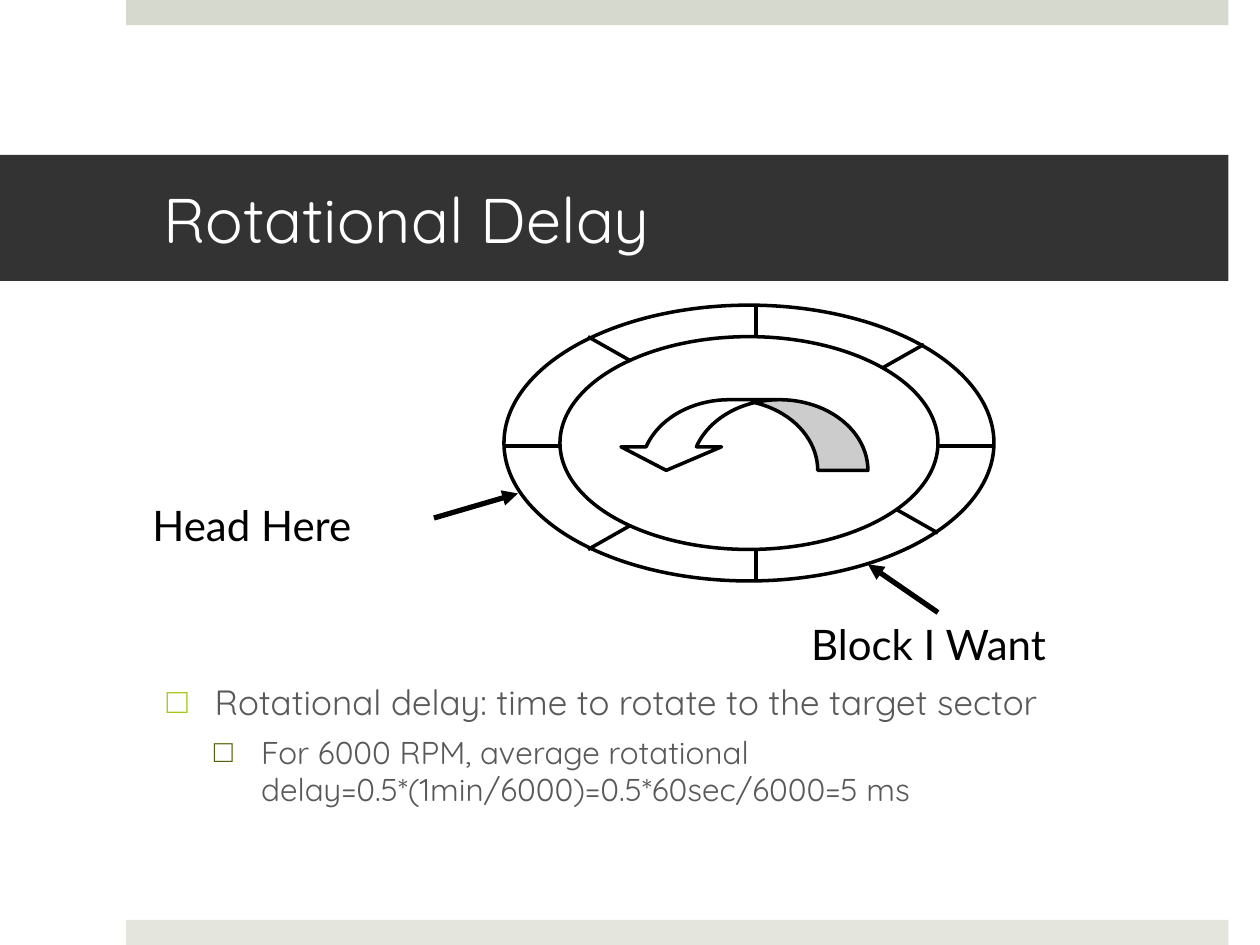
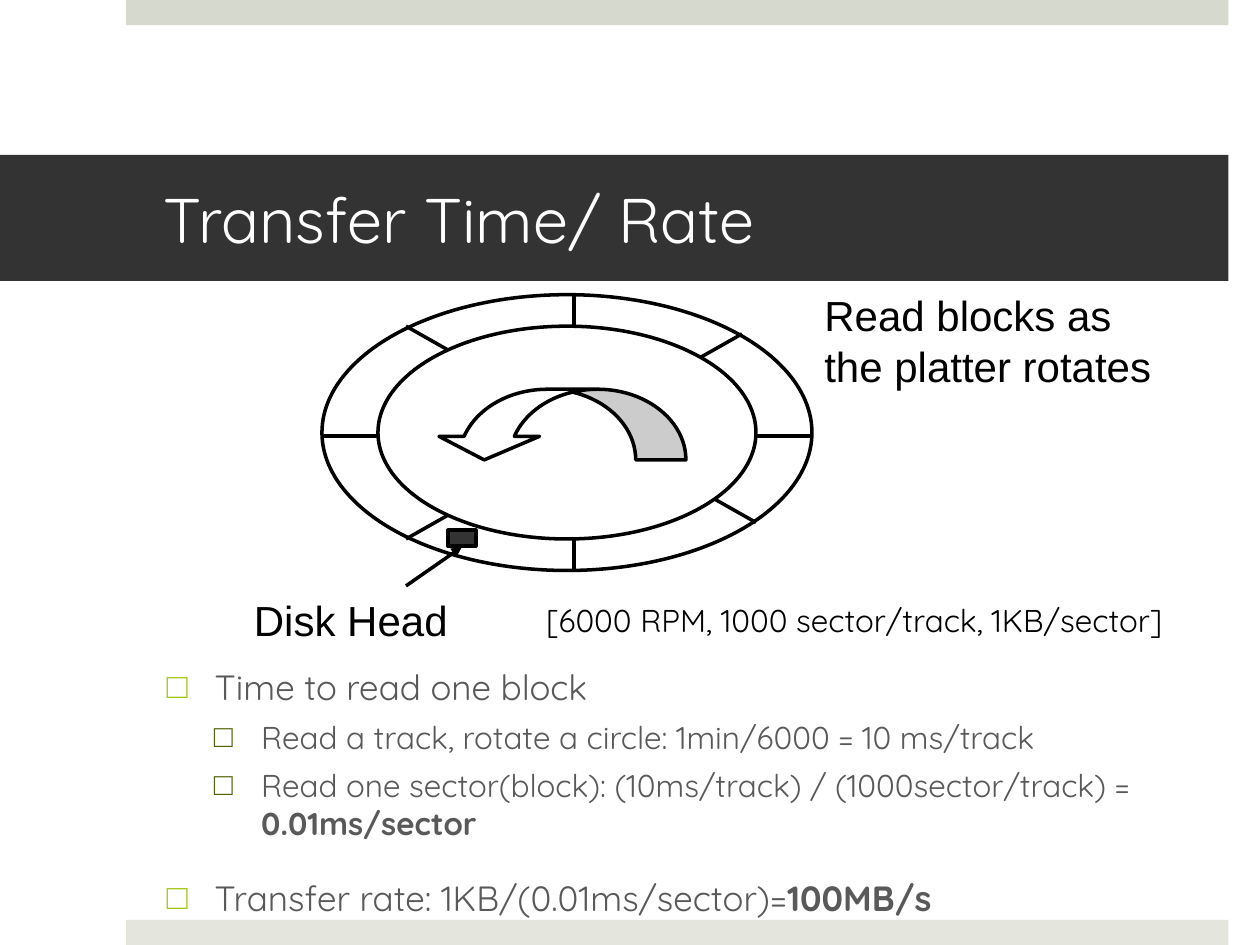
from lxml.etree import SubElement
from pptx import Presentation
from pptx.dml.color import RGBColor
from pptx.enum.shapes import MSO_CONNECTOR, MSO_SHAPE
from pptx.enum.text import MSO_ANCHOR, MSO_AUTO_SIZE as AutoSize, PP_ALIGN
from pptx.oxml.ns import qn
from pptx.util import Pt

BLACK = RGBColor(0x00, 0x00, 0x00)
WHITE = RGBColor(0xFF, 0xFF, 0xFF)
DARK = RGBColor(0x33, 0x33, 0x33)
GRAY = RGBColor(0x59, 0x59, 0x59)
TOP_BAND = RGBColor(0xD6, 0xD9, 0xCD)
BOTTOM_BAND = RGBColor(0xE4, 0xE6, 0xDE)
LIME = RGBColor(0xA2, 0xC8, 0x16)
OLIVE = RGBColor(0x51, 0x64, 0x0B)

# Content: bullets are (level, [(text, bold), ...]), labels are (lines, box, font, size)
SLIDES = [
    {
        "title": "Rotational Delay",
        "body_box": (88, 385, 599, 108),
        "bullets": [
            (0, [("Rotational delay: time to rotate to the target sector", False)]),
            (1, [("For 6000 RPM, average rotational "
                  "delay=0.5*(1min/6000)=0.5*60sec/6000=5 ms", False)]),
        ],
        "disk": (288, 174.4),
        "pointers": [((248, 296), (296, 282), 3), ((536, 350), (496, 322.5), 3)],
        "labels": [
            (["Head Here"], (80, 282, 169, 36), "Lato", 24),
            (["Block I Want"], (456.5, 350, 200, 36), "Lato", 24),
        ],
    },
    {
        "title": "Transfer Time/ Rate",
        "body_box": (88, 376.5, 599, 148),
        "bullets": [
            (0, [("Time to read one block", False)]),
            (1, [("Read a track, rotate a circle: 1min/6000 = 10 ms/track", False)]),
            (1, [("Read one sector(block): (10ms/track) / (1000sector/track) = ", False),
                 ("0.01ms/sector", True)]),
            (0, [("Transfer rate: 1KB/(0.01ms/sector)=", False), ("100MB/s", True)]),
        ],
        "disk": (184, 168.4),
        "pointers": [((232, 334.8), (264, 312.5), 2)],
        "disk_head": (256, 303, 16, 9),
        "labels": [
            (["Disk Head"], (138, 336, 126, 36), "Arial", 24),
            (["Read blocks as", "the platter rotates"], (464, 162, 202, 65), "Arial", 24),
            (["[6000 RPM, 1000 sector/track, 1KB/sector]"],
             (305, 340, 415, 29), "Quicksand", 18),
        ],
    },
]

# Shared layout
BANDS = [((72, 0, 630, 14.4), TOP_BAND), ((72, 525.6, 630, 14.4), BOTTOM_BAND)]
TITLE_BOX = (0, 88.5, 702, 72)
LEVELS = [
    {"size": 20, "before": 20, "margin": 27.5, "hanging": 27.5, "bullet": LIME},
    {"size": 18, "before": 6, "margin": 54, "hanging": 27, "bullet": OLIVE},
]

# Disk geometry, relative to its top left corner
DISK_W, DISK_H = 280, 157.6
RIM_X, RIM_Y = 32, 18
MIDDLE_X, MIDDLE_Y = 144, 80.6
SPOKES = [
    ((MIDDLE_X, 0), (MIDDLE_X, RIM_Y)),
    ((MIDDLE_X, DISK_H - RIM_Y), (MIDDLE_X, DISK_H)),
    ((0, MIDDLE_Y), (RIM_X, MIDDLE_Y)),
    ((DISK_W - RIM_X, MIDDLE_Y), (DISK_W, MIDDLE_Y)),
    ((216, 36), (240, 22.4)),
    ((48, 139.6), (72, 126)),
    ((224, 116.6), (248, 130.2)),
    ((48, 18), (72, 31.6)),
]
ROTATION_BOX = (64, 54, 144, 40.4)
ROTATION_ADJUSTMENTS = (0.711, 1.422, 0.333)


def set_values(target, **values):
    for name, value in values.items():
        setattr(target, name, value)


def place(shape, box):
    left, top, width, height = map(Pt, box)
    set_values(shape, left=left, top=top, width=width, height=height)


def paint(shape, color):
    shape.fill.solid()
    shape.fill.fore_color.rgb = color


def style(font, name, size, color, bold=False):
    set_values(font, name=name, size=Pt(size), bold=bold)
    font.color.rgb = color


def add_shape(slide, kind, box, fill, outlined=True):
    shape = slide.shapes.add_shape(kind, *map(Pt, box))
    shape.shadow.inherit = False
    paint(shape, fill)
    if outlined:
        shape.line.color.rgb = BLACK
        shape.line.width = Pt(2)
    else:
        shape.line.fill.background()
    return shape


def add_line(slide, start, end, width=2, arrow=False):
    line = slide.shapes.add_connector(MSO_CONNECTOR.STRAIGHT, *map(Pt, start + end))
    line.line.color.rgb = BLACK
    line.line.width = Pt(width)
    if arrow:
        SubElement(line.line._get_or_add_ln(), qn("a:tailEnd"), type="triangle")
    SubElement(line._element.spPr, qn("a:effectLst"))


def add_bands(slide, layout):
    """Draw the page bands once and keep them on the shared layout."""
    for index, (box, color) in enumerate(BANDS):
        band = add_shape(slide, MSO_SHAPE.RECTANGLE, box, color, outlined=False)
        layout.shapes._spTree.insert(2 + index, band._element)


def fill_title(title, text):
    place(title, TITLE_BOX)
    paint(title, DARK)
    frame = title.text_frame
    frame.text = text
    set_values(frame, auto_size=AutoSize.NONE, word_wrap=True,
               vertical_anchor=MSO_ANCHOR.MIDDLE, margin_left=Pt(93.6),
               margin_right=Pt(21.6), margin_top=Pt(3.6), margin_bottom=Pt(3.6))
    paragraph = frame.paragraphs[0]
    paragraph.alignment = PP_ALIGN.LEFT
    style(paragraph.runs[0].font, "Quicksand", 36, WHITE)


def fill_body(body, box, bullets):
    place(body, box)
    frame = body.text_frame
    set_values(frame, auto_size=AutoSize.NONE, word_wrap=True,
               vertical_anchor=MSO_ANCHOR.TOP)
    for index, (depth, runs) in enumerate(bullets):
        paragraph = frame.add_paragraph() if index else frame.paragraphs[0]
        level = LEVELS[depth]
        set_values(paragraph, level=depth, space_before=Pt(level["before"]))
        properties = paragraph._p.get_or_add_pPr()
        properties.set("marL", str(Pt(level["margin"])))
        properties.set("indent", str(-Pt(level["hanging"])))
        bullet_color = SubElement(properties, qn("a:buClr"))
        SubElement(bullet_color, qn("a:srgbClr"), val=str(level["bullet"]))
        SubElement(properties, qn("a:buFont"), typeface="Arial")
        SubElement(properties, qn("a:buChar"), char="□")
        for text, bold in runs:
            run = paragraph.add_run()
            run.text = text
            style(run.font, "Quicksand", level["size"], GRAY, bold)


def add_disk(slide, left, top):
    # Outer edge and inner edge of the track
    for inset_x, inset_y in ((0, 0), (RIM_X, RIM_Y)):
        box = (left + inset_x, top + inset_y, DISK_W - 2 * inset_x, DISK_H - 2 * inset_y)
        add_shape(slide, MSO_SHAPE.OVAL, box, WHITE)
    # Sector borders
    for spoke in SPOKES:
        start, end = [(left + x, top + y) for x, y in spoke]
        add_line(slide, start, end)
    # Direction of rotation
    x, y, width, height = ROTATION_BOX
    arrow = add_shape(slide, MSO_SHAPE.CURVED_DOWN_ARROW,
                      (left + x, top + y, width, height), WHITE)
    for index, value in enumerate(ROTATION_ADJUSTMENTS):
        arrow.adjustments[index] = value
    arrow._element.spPr.find(qn("a:xfrm")).set("flipH", "1")


def add_label(slide, lines, box, font, size):
    frame = slide.shapes.add_textbox(*map(Pt, box)).text_frame
    frame.word_wrap = True
    for index, text in enumerate(lines):
        paragraph = frame.add_paragraph() if index else frame.paragraphs[0]
        run = paragraph.add_run()
        run.text = text
        style(run.font, font, size, BLACK)


def main():
    presentation = Presentation()
    set_values(presentation, slide_width=Pt(720), slide_height=Pt(540))
    layout = presentation.slide_layouts[1]
    for number, content in enumerate(SLIDES):
        slide = presentation.slides.add_slide(layout)
        if number == 0:
            add_bands(slide, layout)
        fill_title(slide.shapes.title, content["title"])
        fill_body(slide.placeholders[1], content["body_box"], content["bullets"])
        add_disk(slide, *content["disk"])
        for start, end, width in content["pointers"]:
            add_line(slide, start, end, width, arrow=True)
        if "disk_head" in content:
            add_shape(slide, MSO_SHAPE.RECTANGLE, content["disk_head"], DARK)
        for label in content["labels"]:
            add_label(slide, *label)
    presentation.save("out.pptx")


if __name__ == "__main__":
    main()
